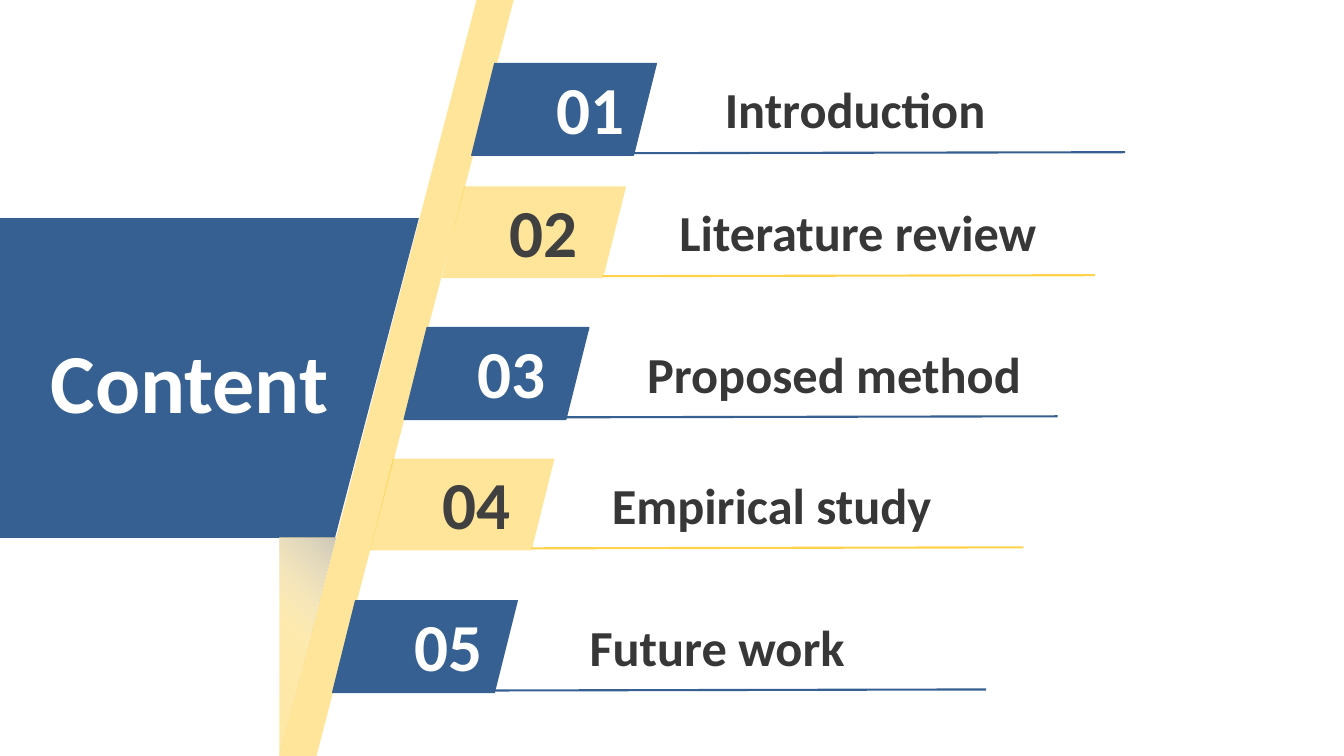
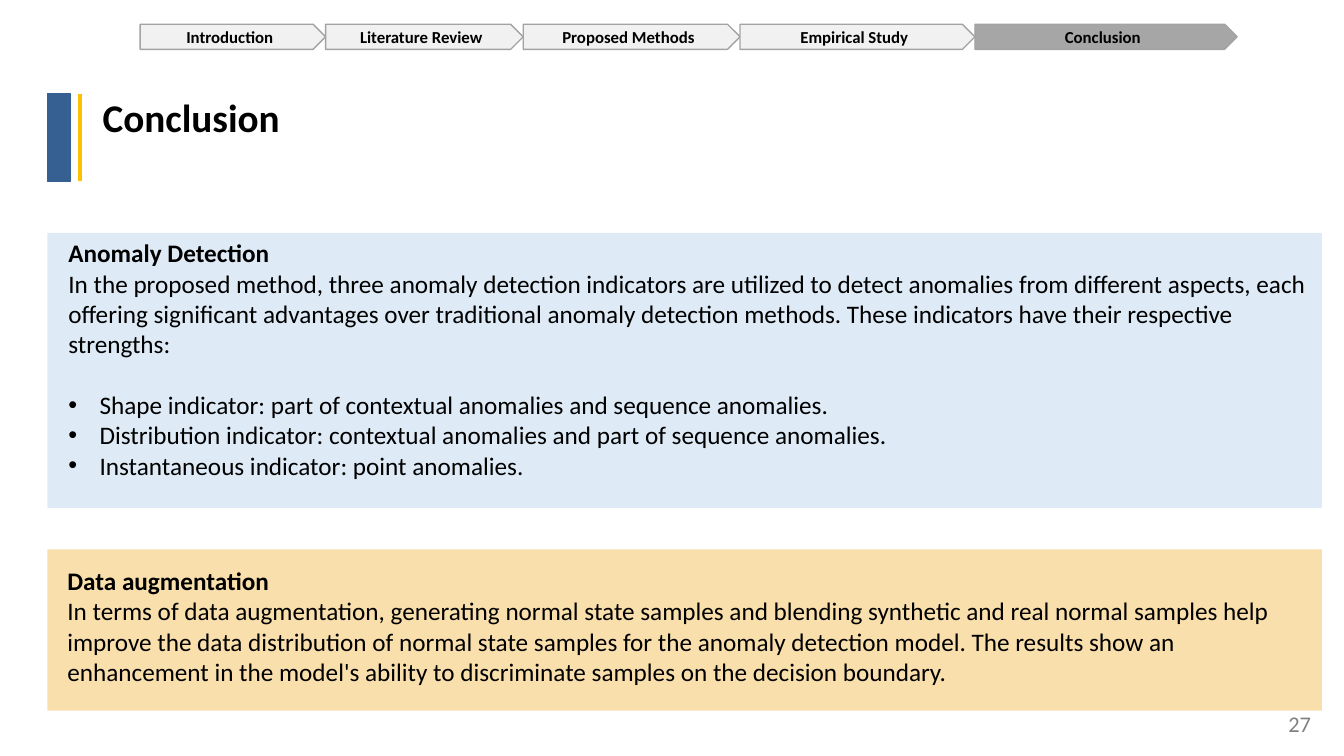
from itertools import accumulate

from lxml.etree import SubElement
from pptx import Presentation
from pptx.dml.color import RGBColor
from pptx.enum.shapes import MSO_CONNECTOR, MSO_SHAPE
from pptx.enum.text import MSO_ANCHOR, MSO_AUTO_SIZE, PP_ALIGN
from pptx.oxml.ns import qn
from pptx.util import Inches, Pt

COLORS = {
    "blue": "376092", "gold": "FFC000", "white": "FFFFFF", "black": "000000",
    "dark": "404040", "label": "373737", "page": "808080", "sky": "5B9BD5",
    "amber": "F0B030", "step": "F1F1F1", "step_line": "A3A3A3",
    "active_step": "A6A6A6", "shade": "BFBFBF",
}
FONT = "Calibri"
BULLET_INDENT = 0.31


def rgb(name):
    return RGBColor.from_string(COLORS[name])


def set_opacity(drawn, percent):
    for color in drawn._element.spPr.iter(qn("a:srgbClr")):
        SubElement(color, qn("a:alpha"), val=str(percent * 1000))


class Deck:
    """Holds the presentation, its style and the slide being built."""

    def __init__(self):
        self.presentation = Presentation()
        self.presentation.slide_width = Inches(13.33)
        self.presentation.slide_height = Inches(7.5)
        self.slide = None

    def new_slide(self):
        layout = self.presentation.slide_layouts[6]
        self.slide = self.presentation.slides.add_slide(layout)

    def shape(self, kind, box, fill=None, line=None, opacity=None, flip=None):
        drawn = self.slide.shapes.add_shape(kind, *map(Inches, box))
        drawn.shadow.inherit = False
        if fill:
            drawn.fill.solid()
            drawn.fill.fore_color.rgb = rgb(fill)
        if line:
            drawn.line.color.rgb = rgb(line)
            drawn.line.width = Pt(1)
        else:
            drawn.line.fill.background()
        if opacity:
            set_opacity(drawn, opacity)
        if flip:
            drawn._element.spPr.find(qn("a:xfrm")).set(flip, "1")
        return drawn

    def fade(self, drawn, stops, angle):
        """Fill with a gradient of (position, colour, opacity) stops."""
        drawn.fill.gradient()
        gradient = drawn._element.spPr.find(qn("a:gradFill"))
        stop_list = gradient.find(qn("a:gsLst"))
        for old_stop in list(stop_list):
            stop_list.remove(old_stop)
        for position, color, opacity in stops:
            stop = SubElement(stop_list, qn("a:gs"), pos=str(position * 1000))
            tone = SubElement(stop, qn("a:srgbClr"), val=COLORS[color])
            SubElement(tone, qn("a:alpha"), val=str(opacity * 1000))
        gradient.find(qn("a:lin")).set("ang", str(angle * 60000))

    def line(self, start, end, color, width, opacity=None):
        drawn = self.slide.shapes.add_connector(
            MSO_CONNECTOR.STRAIGHT, *map(Inches, start + end))
        drawn.line.color.rgb = rgb(color)
        drawn.line.width = Pt(width)
        if opacity:
            set_opacity(drawn, opacity)
        SubElement(drawn._element.spPr, qn("a:effectLst"))

    def fill_paragraph(self, paragraph, text, size, color, bold=True, bullet=False,
                       **formats):
        if bullet:
            properties = paragraph._p.get_or_add_pPr()
            indent = Inches(BULLET_INDENT)
            properties.set("marL", str(indent))
            properties.set("indent", str(-indent))
            SubElement(properties, qn("a:buFont"), typeface="Arial")
            SubElement(properties, qn("a:buChar"), char="•")
        for name, value in formats.items():
            setattr(paragraph, name, value)
        run = paragraph.add_run()
        run.text = text
        for name, value in {"name": FONT, "size": Pt(size), "bold": bold}.items():
            setattr(run.font, name, value)
        run.font.color.rgb = rgb(color)

    def text(self, box, text, size, color, anchor=MSO_ANCHOR.TOP, **formats):
        frame = self.slide.shapes.add_textbox(*map(Inches, box)).text_frame
        frame_formats = {"word_wrap": True, "vertical_anchor": anchor,
                         "auto_size": MSO_AUTO_SIZE.NONE}
        for name, value in frame_formats.items():
            setattr(frame, name, value)
        self.fill_paragraph(frame.paragraphs[0], text, size, color, **formats)
        return frame

    def panel(self, box, fill, opacity, text_box, heading, body, bullets=()):
        self.shape(MSO_SHAPE.RECTANGLE, box, fill, opacity=opacity)
        frame = self.text(text_box, heading, 18, "black")
        self.fill_paragraph(frame.add_paragraph(), body, 18, "black", bold=False)
        for index, bullet in enumerate(bullets):
            self.fill_paragraph(frame.add_paragraph(), bullet, 18, "black", bold=False,
                                bullet=True, space_before=Pt(0 if index else 22))

    def step(self, left, width, name, active):
        fill = "active_step" if active else "step"
        drawn = self.shape(MSO_SHAPE.PENTAGON, (left, 0.24, width, 0.25),
                           fill, "step_line")
        drawn.text_frame.vertical_anchor = MSO_ANCHOR.MIDDLE
        self.fill_paragraph(drawn.text_frame.paragraphs[0], name, 12, "black",
                            alignment=PP_ALIGN.CENTER)

    def title(self, text):
        self.shape(MSO_SHAPE.RECTANGLE, (0.47, 0.93, 0.23, 0.87), "blue", "blue")
        self.line((0.79, 0.93), (0.79, 1.8), "gold", 3)
        self.text((0.92, 0.66, 12.04, 1.05), text, 28, "black",
                  MSO_ANCHOR.MIDDLE, line_spacing=0.9)


def build_contents(deck):
    # Tag left and top, number left, label left, label
    chapters = [
        (4.68, 0.63, 5.33, 7.09, "Introduction"),
        (4.38, 1.85, 4.87, 6.64, "Literature review"),
        (4.01, 3.25, 4.55, 6.32, "Proposed method"),
        (3.67, 4.55, 4.2, 5.97, "Empirical study"),
        (3.3, 5.96, 3.92, 5.75, "Future work"),
    ]
    deck.new_slide()
    for left, fill, opacity in [(2.77, "gold", 40), (3.14, "white", None)]:
        band = deck.shape(MSO_SHAPE.PARALLELOGRAM, (left, 0, 3.14, 7.5), fill,
                          opacity=opacity)
        band.adjustments[0] = 0.623
    heading_block = deck.shape(MSO_SHAPE.FLOWCHART_MANUAL_INPUT,
                               (0.49, 1.67, 3.17, 4.16), "blue", flip="flipH")
    heading_block.rotation = 90
    deck.text((0.32, 3.22, 3.12, 1.11), "Content", 60, "white",
              alignment=PP_ALIGN.CENTER)

    for number, (left, top, number_left, label_left, label) in enumerate(chapters, 1):
        tag_box = (left, top, 1.83, 0.91)
        rule_left, rule_top = left + 1.6, top + 0.89
        rule = (rule_left, rule_top), (rule_left + 4.88, rule_top - 0.01)
        if number % 2:
            deck.shape(MSO_SHAPE.PARALLELOGRAM, tag_box, "blue", "blue")
            deck.line(*rule, "blue", 1.5)
        else:
            deck.shape(MSO_SHAPE.PARALLELOGRAM, tag_box, "gold", opacity=40)
            deck.line(*rule, "gold", 1.5, 70)
        deck.text((number_left, top - 0.01, 1.05, 0.91), f"{number:02}", 48,
                  "white" if number % 2 else "dark", alignment=PP_ALIGN.CENTER)
        deck.text((label_left, top + 0.1, 5.2, 0.71), label, 36, "label")

    fold_box = (2.77, 5.33, 0.56, 2.17)
    deck.shape(MSO_SHAPE.RIGHT_TRIANGLE, fold_box, "gold", opacity=40, flip="flipV")
    fold_shade = deck.shape(MSO_SHAPE.RIGHT_TRIANGLE, fold_box, flip="flipV")
    deck.fade(fold_shade, [(0, "white", 10), (50, "white", 20), (100, "shade", 80)], 45)


def build_conclusion(deck):
    steps = {"Introduction": 1.84, "Literature Review": 1.96,
             "Proposed Methods": 2.15, "Empirical Study": 2.33, "Conclusion": 2.6}
    current = "Conclusion"
    deck.new_slide()
    deck.title(current)
    lefts = accumulate(steps.values(), initial=1.39)
    for left, (name, width) in zip(lefts, steps.items()):
        deck.step(left, width, name, name == current)
    deck.panel(
        (0.47, 2.31, 12.64, 2.73), "sky", 20, (0.58, 2.31, 12.79, 2.52),
        "Anomaly Detection",
        "In the proposed method, three anomaly detection indicators are utilized to "
        "detect anomalies from different aspects, each offering significant advantages "
        "over traditional anomaly detection methods. These indicators have their "
        "respective strengths:",
        ["Shape indicator: part of contextual anomalies and sequence anomalies.",
         "Distribution indicator: contextual anomalies and part of sequence anomalies.",
         "Instantaneous indicator: point anomalies."])
    deck.panel(
        (0.47, 5.45, 12.64, 1.6), "amber", 40, (0.57, 5.56, 12.54, 1.31),
        "Data augmentation",
        "In terms of data augmentation, generating normal state samples and blending "
        "synthetic and real normal samples help improve the data distribution of normal "
        "state samples for the anomaly detection model. The results show an enhancement "
        "in the model's ability to discriminate samples on the decision boundary.")
    deck.text((12.68, 7, 0.6, 0.38), "27", 16, "page", bold=False)


def main():
    deck = Deck()
    build_contents(deck)
    build_conclusion(deck)
    deck.presentation.save("out.pptx")


if __name__ == "__main__":
    main()
